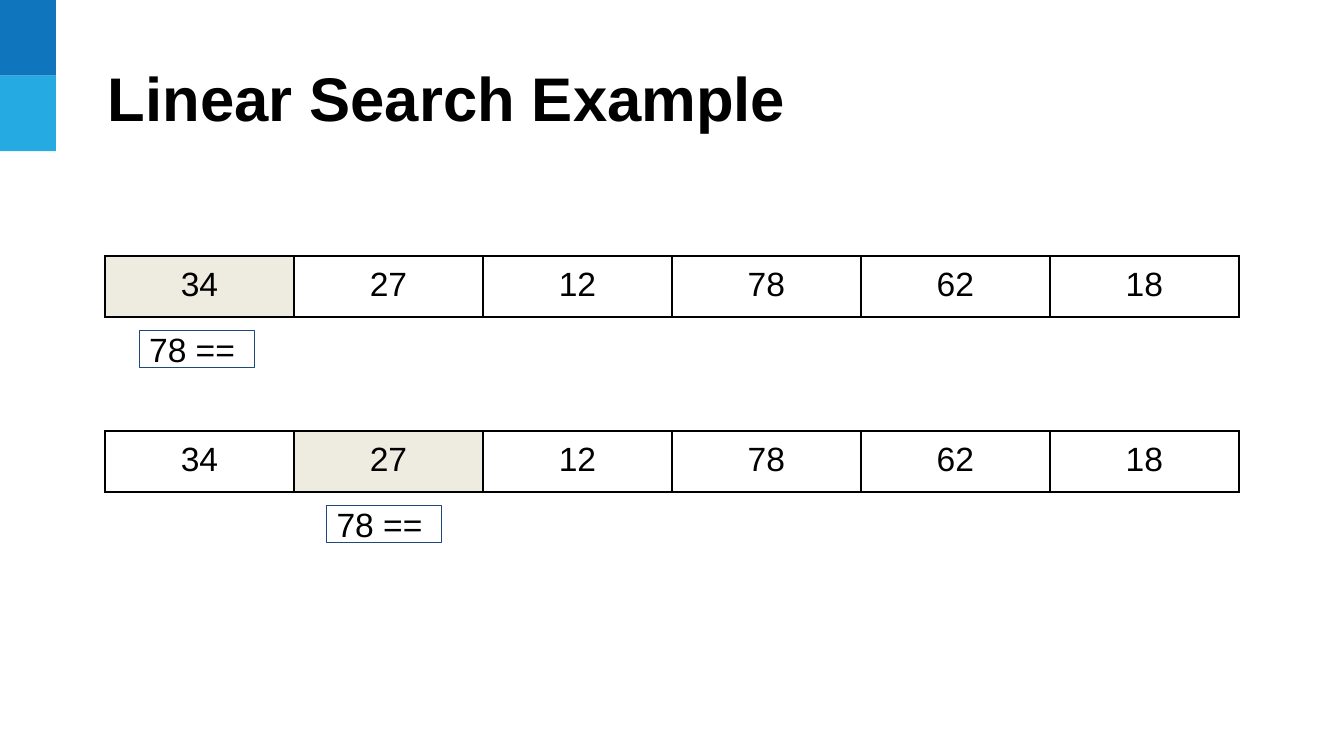
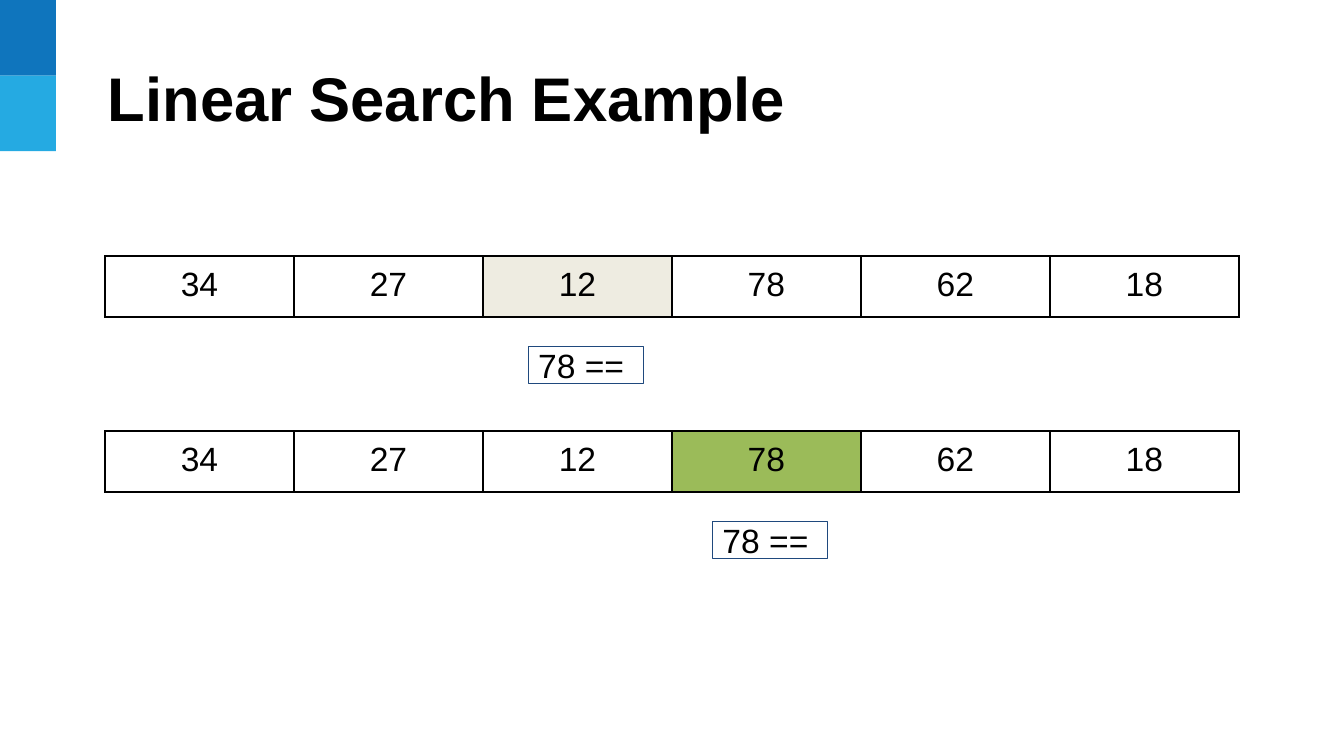
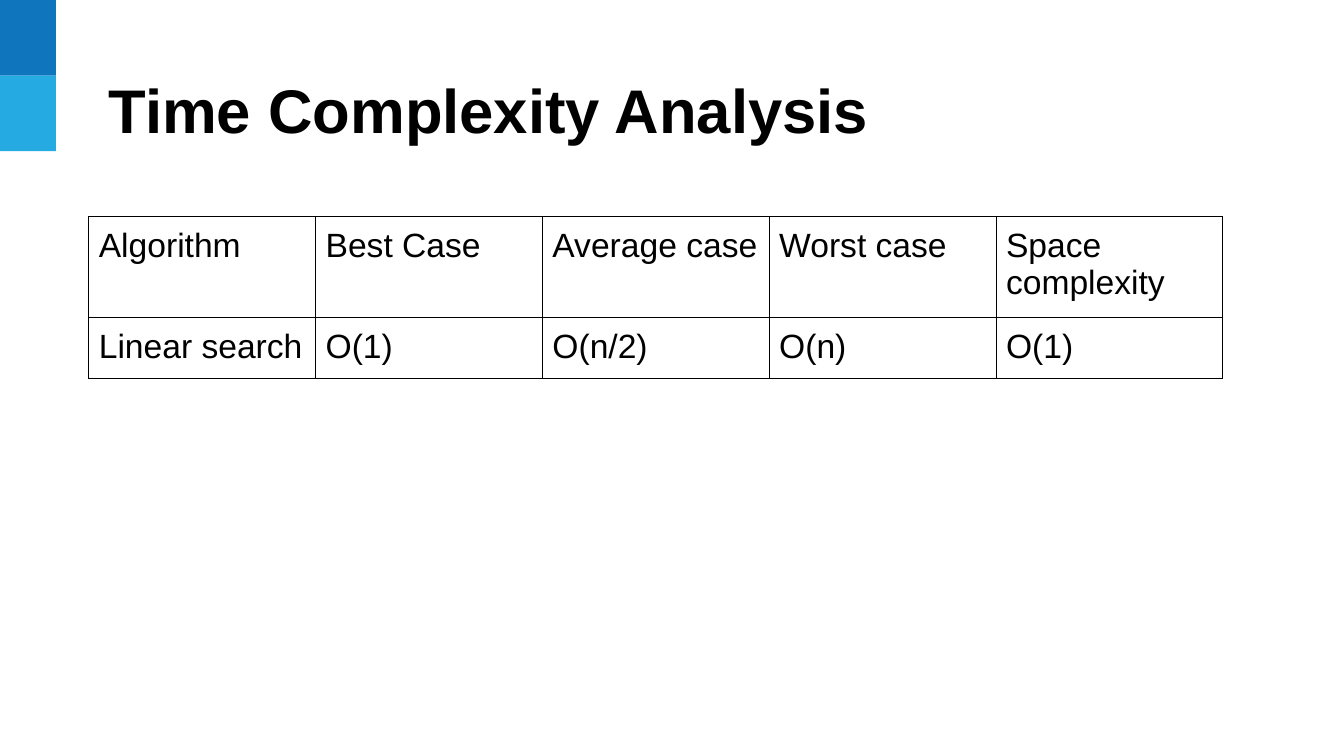
"""Build three slides on linear search and its time complexity."""
from lxml import etree
from pptx import Presentation
from pptx.dml.color import RGBColor
from pptx.enum.shapes import MSO_SHAPE
from pptx.enum.text import MSO_ANCHOR, PP_ALIGN
from pptx.oxml.ns import qn
from pptx.util import Pt

RECTANGLE = MSO_SHAPE.RECTANGLE
MIDDLE = MSO_ANCHOR.MIDDLE
LEFT, CENTER = PP_ALIGN.LEFT, PP_ALIGN.CENTER

COLORS = {
    "black": "000000",
    "white": "FFFFFF",
    "band_dark": "0F75BD",
    "band_light": "25AAE2",
    "outline": "1F497D",
    "checked": "EEECE1",
    "found": "9BBB59",
}
TITLE_FONT = {"name": "Arial", "size": Pt(44), "bold": True}
BODY_FONT = {"name": "Arial", "size": Pt(24), "bold": False}
BODY_MARGINS = dict.fromkeys(
    ["margin_left", "margin_top", "margin_right", "margin_bottom"], Pt(7.2)
)
BAND_WIDTH, BAND_HEIGHT = 40, 54
TITLE_WIDTH, TITLE_HEIGHT = 630, 65
ROW_HEIGHT, HEADER_HEIGHT = 41.6, 68
ARRAY_LEFT, ARRAY_COLUMN = 75, 135
ARRAY_TOPS = [183, 308]
CHECK_WIDTH, CHECK_HEIGHT = 82.4, 26.6

NUMBERS = ["34", "27", "12", "78", "62", "18"]
SEARCH_SLIDES = [
    {"check_gap": 53, "steps": [(0, "checked", 99.4), (1, "checked", 233.3)]},
    {"check_gap": 64.5, "steps": [(2, "checked", 377.3), (3, "found", 509)]},
]
COMPLEXITY = [
    ["Algorithm", "Best Case", "Average case", "Worst case", "Space complexity"],
    ["Linear search", "O(1)", "O(n/2)", "O(n)", "O(1)"],
]


def write_text(text_frame, text, font_format, alignment=LEFT):
    text_frame.word_wrap = True
    paragraph = text_frame.paragraphs[0]
    paragraph.alignment = alignment
    run = paragraph.add_run()
    run.text = text
    for name, value in font_format.items():
        setattr(run.font, name, value)
    run.font.color.rgb = RGBColor.from_string(COLORS["black"])


def add_grid(slide, left, top, column_width, heights, rows, border, alignment, marked):
    columns = len(rows[0])
    table = slide.shapes.add_table(
        len(rows), columns, Pt(left), Pt(top), Pt(columns * column_width), Pt(sum(heights))
    ).table
    table.first_row = table.horz_banding = False
    for column in table.columns:
        column.width = Pt(column_width)
    for row_index, texts in enumerate(rows):
        table.rows[row_index].height = Pt(heights[row_index])
        for column_index, text in enumerate(texts):
            cell = table.cell(row_index, column_index)
            for name, value in BODY_MARGINS.items():
                setattr(cell, name, value)
            properties = cell._tc.get_or_add_tcPr()
            for side in ["lnL", "lnR", "lnT", "lnB"]:
                line = etree.SubElement(properties, qn(f"a:{side}"), w=str(Pt(border)))
                fill = etree.SubElement(line, qn("a:solidFill"))
                etree.SubElement(fill, qn("a:srgbClr"), val=COLORS["black"])
            cell.fill.solid()
            color = marked.get(column_index, "white")
            cell.fill.fore_color.rgb = RGBColor.from_string(COLORS[color])
            write_text(cell.text_frame, text, BODY_FONT, alignment)


presentation = Presentation()
presentation.slide_width, presentation.slide_height = Pt(960), Pt(540)

slides = []
for title, title_left, title_top in [
    ("Linear Search Example", 70, 36.7),
    ("Linear Search Example", 70, 36.7),
    ("Time Complexity Analysis", 70.5, 45.4),
]:
    slide = presentation.slides.add_slide(presentation.slide_layouts[6])
    slides.append(slide)
    for index, color in enumerate(["band_dark", "band_light"]):
        band = slide.shapes.add_shape(
            RECTANGLE, 0, Pt(index * BAND_HEIGHT), Pt(BAND_WIDTH), Pt(BAND_HEIGHT)
        )
        band.shadow.inherit = False
        band.fill.solid()
        band.fill.fore_color.rgb = RGBColor.from_string(COLORS[color])
        band.line.fill.background()
    title_box = slide.shapes.add_textbox(
        Pt(title_left), Pt(title_top), Pt(TITLE_WIDTH), Pt(TITLE_HEIGHT)
    )
    title_box.text_frame.vertical_anchor = MIDDLE
    write_text(title_box.text_frame, title, TITLE_FONT)

for slide, search in zip(slides, SEARCH_SLIDES):
    for top, (position, color, check_left) in zip(ARRAY_TOPS, search["steps"]):
        add_grid(slide, ARRAY_LEFT, top, ARRAY_COLUMN, [ROW_HEIGHT], [NUMBERS],
                 1.5, CENTER, {position: color})
        check = slide.shapes.add_shape(
            RECTANGLE, Pt(check_left), Pt(top + search["check_gap"]),
            Pt(CHECK_WIDTH), Pt(CHECK_HEIGHT)
        )
        check.shadow.inherit = False
        check.fill.solid()
        check.fill.fore_color.rgb = RGBColor.from_string(COLORS["white"])
        check.line.color.rgb = RGBColor.from_string(COLORS["outline"])
        check.line.width = Pt(0.75)
        check.text_frame.vertical_anchor = MIDDLE
        for name, value in BODY_MARGINS.items():
            setattr(check.text_frame, name, value)
        write_text(check.text_frame, "78 ==", BODY_FONT)

add_grid(slides[2], 63.4, 154.8, 162, [HEADER_HEIGHT, ROW_HEIGHT], COMPLEXITY,
         0.75, LEFT, {})

presentation.save("out.pptx")
